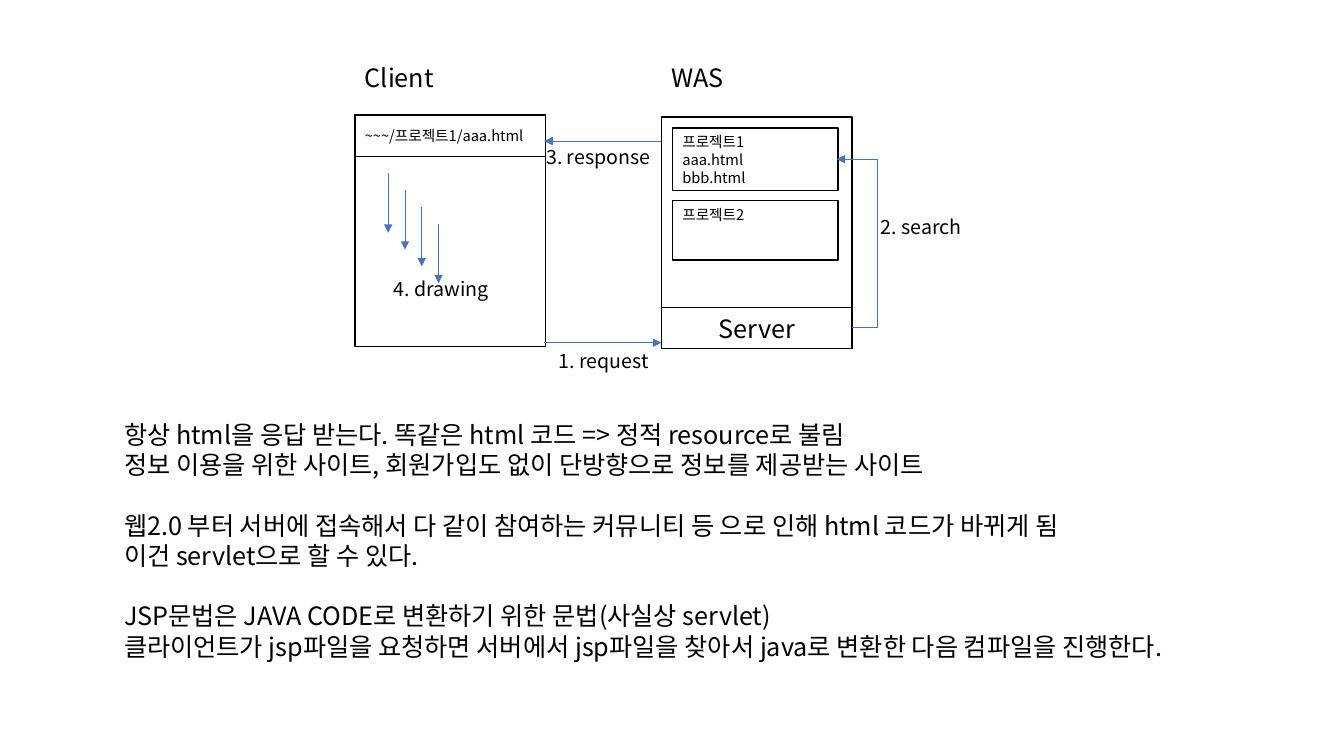
from lxml import etree
from pptx import Presentation
from pptx import util as u
from pptx.dml import color
from pptx.enum import shapes, text
from pptx.oxml import ns

FONT = "Noto Sans CJK KR"
BLACK, WHITE, BLUE = "000000", "FFFFFF", "4472C4"
LEFT, CENTER = text.PP_ALIGN.LEFT, text.PP_ALIGN.CENTER
TOP, MIDDLE = text.MSO_ANCHOR.TOP, text.MSO_ANCHOR.MIDDLE


def paint(target, value):
    target.rgb = color.RGBColor.from_string(value)


def write(frame, wording, size=18, align=LEFT, anchor=TOP):
    frame.word_wrap = True
    frame.auto_size = text.MSO_AUTO_SIZE.NONE
    frame.vertical_anchor = anchor
    frame.text = wording
    for line in frame.paragraphs:
        line.alignment = align
        line.line_spacing = u.Pt(size * 1.2)
        line.space_before = u.Pt(0)
        for run in line.runs:
            run.font.size = u.Pt(size)
            run.font.name = FONT
            paint(run.font.color, BLACK)
            east_asian = etree.SubElement(run.font._element, ns.qn("a:ea"))
            east_asian.set("typeface", FONT)


deck = Presentation()
deck.slide_width, deck.slide_height = u.Inches(13.33), u.Inches(7.5)
slide = deck.slides.add_slide(deck.slide_layouts[1])
title = slide.shapes.title
title.element.getparent().remove(title.element)

explanation = slide.placeholders[1]
explanation.left, explanation.top = u.Inches(1.13), u.Inches(4.11)
explanation.width, explanation.height = u.Inches(11.52), u.Inches(2.52)
write(explanation.text_frame, "\n".join([
    "항상 html을 응답 받는다. 똑같은 html 코드 => 정적 resource로 불림",
    "정보 이용을 위한 사이트, 회원가입도 없이 단방향으로 정보를 제공받는 사이트",
    "웹2.0 부터 서버에 접속해서 다 같이 참여하는 커뮤니티 등 으로 인해 html 코드가 바뀌게 됨",
    "이건 servlet으로 할 수 있다.",
    "JSP문법은 JAVA CODE로 변환하기 위한 문법(사실상 servlet)",
    "클라이언트가 jsp파일을 요청하면 서버에서 jsp파일을 찾아서 java로 변환한 다음 컴파일을 진행한다.",
]))
for index, sentence in enumerate(explanation.text_frame.paragraphs):
    if index in (2, 4):
        sentence.space_before = u.Pt(21.6)
    properties = sentence._p.get_or_add_pPr()
    properties.set("marL", "0")
    properties.set("indent", "0")
    etree.SubElement(properties, ns.qn("a:buNone"))

boxes = [
    (6.56, 1.16, 1.89, 2.3, "", {}),
    (6.56, 3.05, 1.89, 0.41, "Server", dict(align=CENTER, anchor=MIDDLE)),
    (6.67, 1.27, 1.64, 0.62, "프로젝트1\naaa.html\nbbb.html", dict(size=10.5)),
    (6.67, 1.99, 1.64, 0.59, "프로젝트2", dict(size=10.5)),
    (3.52, 1.14, 1.89, 2.3, "", {}),
    (3.52, 1.14, 1.89, 0.41, "~~~/프로젝트1/aaa.html", dict(size=10.5, anchor=MIDDLE)),
]
for left, top, width, height, wording, style in boxes:
    box = slide.shapes.add_shape(
        shapes.MSO_SHAPE.RECTANGLE, *map(u.Inches, (left, top, width, height)))
    box.shadow.inherit = False
    box.fill.solid()
    paint(box.fill.fore_color, WHITE)
    paint(box.line.color, BLACK)
    box.line.width = u.Pt(1)
    if wording:
        write(box.text_frame, wording, **style)

STRAIGHT, ELBOW = shapes.MSO_CONNECTOR.STRAIGHT, shapes.MSO_CONNECTOR.ELBOW
request_arrow = (STRAIGHT, 5.4, 3.4, 6.56, 3.4)
response_arrow = (STRAIGHT, 6.56, 1.4, 5.4, 1.4)
search_arrow = (ELBOW, 8.45, 3.25, 8.3, 1.58)
drawing_arrows = [
    (STRAIGHT, 3.85 + step / 6, 1.72 + step / 6, 3.85 + step / 6, 2.31 + step / 6)
    for step in range(4)
]
for kind, *ends in [request_arrow, response_arrow, search_arrow, *drawing_arrows]:
    arrow = slide.shapes.add_connector(kind, *map(u.Inches, ends))
    paint(arrow.line.color, BLUE)
    arrow.line.width = u.Pt(0.5)
    etree.SubElement(arrow.line._get_or_add_ln(), ns.qn("a:tailEnd"), type="triangle")
    drawing = arrow._element.spPr
    etree.SubElement(drawing, ns.qn("a:effectLst"))
    if kind == ELBOW:
        bend = round((8.7 - ends[0]) / (ends[2] - ends[0]) * 100000)
        geometry = drawing.find(ns.qn("a:prstGeom"))
        for old in list(geometry):
            geometry.remove(old)
        adjustments = etree.SubElement(geometry, ns.qn("a:avLst"))
        etree.SubElement(adjustments, ns.qn("a:gd"), name="adj1", fmla=f"val {bend}")

step_label = dict(size=14, align=CENTER)
labels = [
    (6.56, 0.57, 0.85, 0.4, "WAS", {}),
    (3.52, 0.57, 1.89, 0.4, "Client", {}),
    (5.3, 3.41, 1.37, 0.34, "1. request", step_label),
    (8.45, 2.08, 1.37, 0.34, "2. search", step_label),
    (5.25, 1.39, 1.37, 0.34, "3. response", step_label),
    (3.69, 2.7, 1.37, 0.34, "4. drawing", step_label),
]
for left, top, width, height, wording, style in labels:
    label = slide.shapes.add_textbox(*map(u.Inches, (left, top, width, height)))
    write(label.text_frame, wording, **style)

deck.save("out.pptx")
